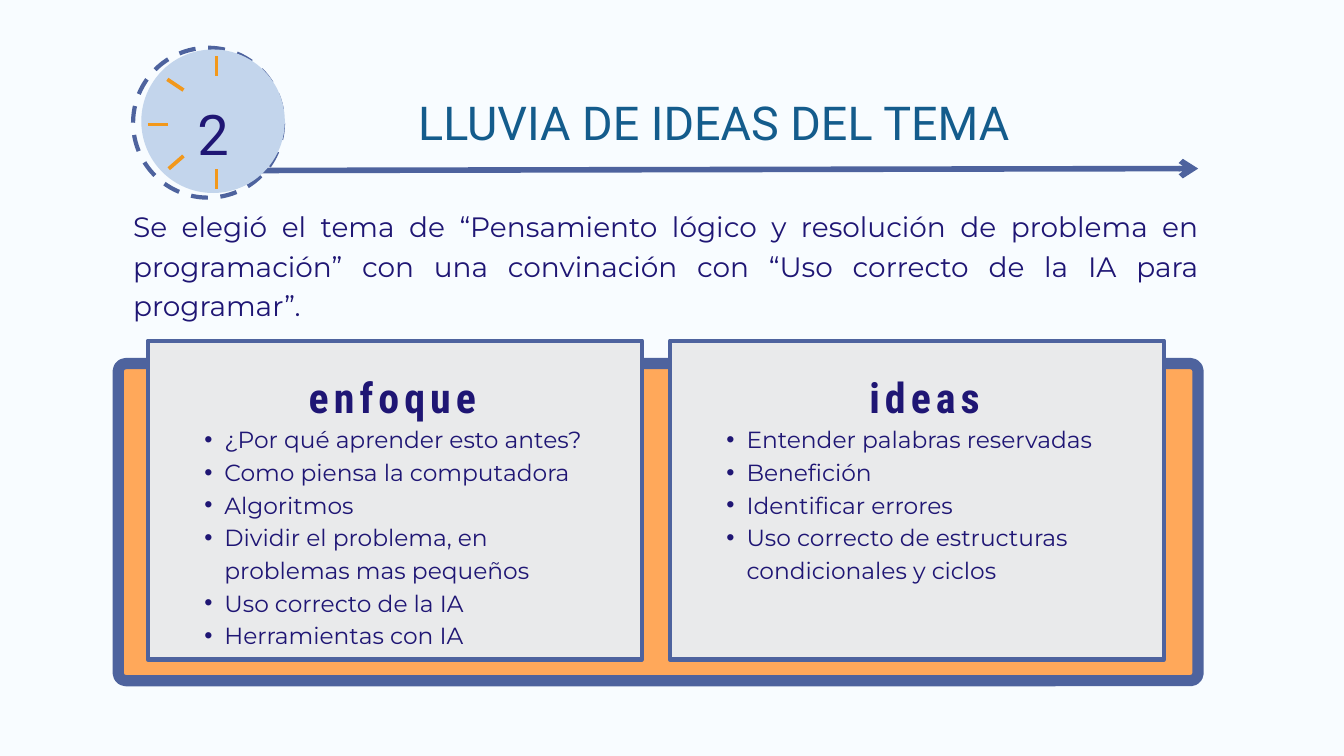
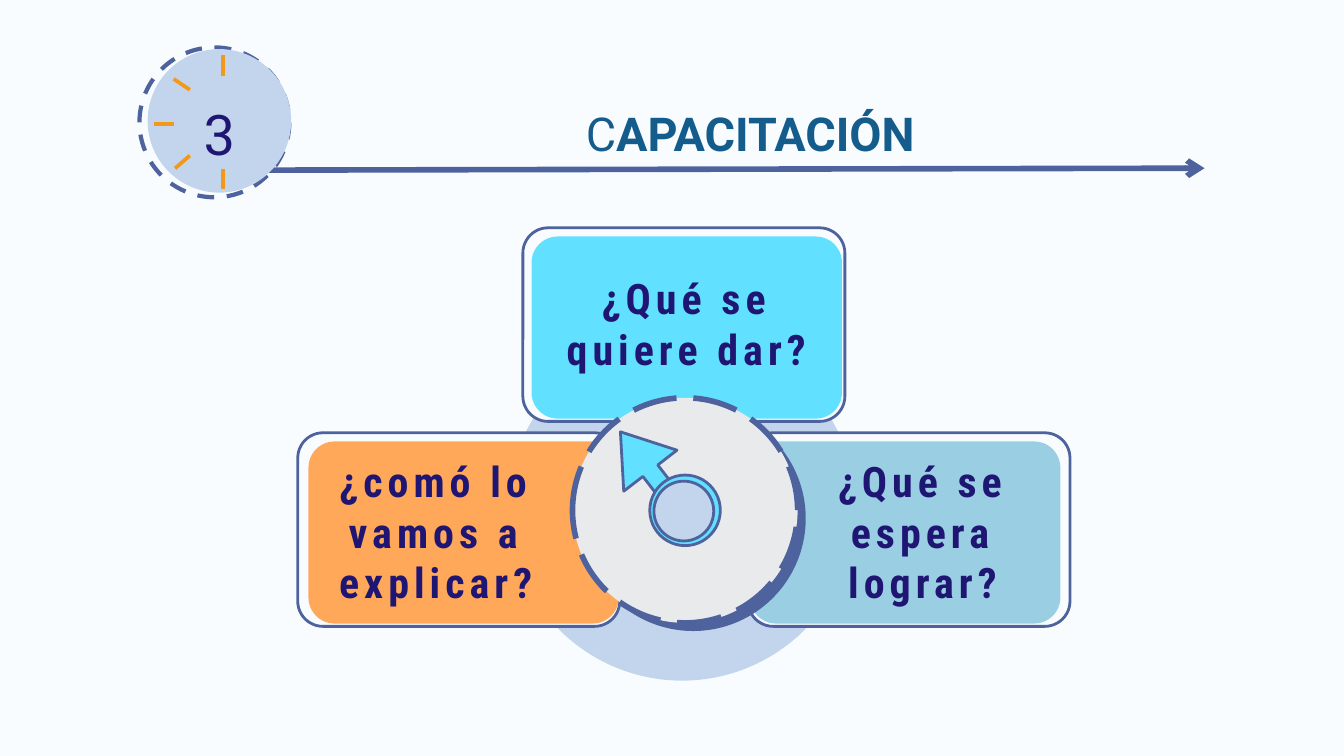
from dataclasses import dataclass

from lxml import etree
from pptx import Presentation
from pptx.dml.color import RGBColor
from pptx.enum.dml import MSO_LINE
from pptx.enum.shapes import MSO_CONNECTOR, MSO_SHAPE
from pptx.enum.text import MSO_AUTO_SIZE, PP_ALIGN
from pptx.oxml.ns import qn
from pptx.util import Pt

RECTANGLE, ROUNDED = MSO_SHAPE.RECTANGLE, MSO_SHAPE.ROUNDED_RECTANGLE
OVAL, ARROW = MSO_SHAPE.OVAL, MSO_SHAPE.RIGHT_ARROW
STRAIGHT = MSO_CONNECTOR.STRAIGHT
DASH, LONG_DASH = MSO_LINE.DASH, MSO_LINE.LONG_DASH
FIT_SHAPE = MSO_AUTO_SIZE.SHAPE_TO_FIT_TEXT
LEFT, CENTER, JUSTIFY = PP_ALIGN.LEFT, PP_ALIGN.CENTER, PP_ALIGN.JUSTIFY

# Content: titles are (text, bold) pieces
IDEAS = {
    "number": "2",
    "title": [("LLUVIA DE IDEAS DEL TEMA", False)],
    "intro": "Se elegió el tema de “Pensamiento lógico y resolución de problema en "
             "programación” con una convinación con “Uso correcto de la IA para programar”.",
    "cards": [
        ("enfoque", ["¿Por qué aprender esto antes?", "Como piensa la computadora",
                     "Algoritmos", "Dividir el problema, en problemas mas pequeños",
                     "Uso correcto de la IA", "Herramientas con IA"]),
        ("ideas", ["Entender palabras reservadas", "Benefición", "Identificar errores",
                   "Uso correcto de estructuras condicionales y ciclos"]),
    ],
}
TRAINING = {
    "number": "3",
    "title": [("C", False), ("APACITACIÓN", True)],
    "give": "¿Qué se quiere dar?",
    "explain": "¿comó lo vamos a explicar?",
    "achieve": "¿Qué se espera lograr?",
}


@dataclass(frozen=True)
class TextStyle:
    font: str
    size: float
    leading: float
    color: str
    bold: bool = False
    spacing: float = 0
    align: PP_ALIGN = CENTER


class Theme:
    paper = "F8FCFF"
    outline = "4E639E"
    ink = "1F1674"
    pale = "C3D5EC"
    tick = "F2981B"
    orange = "FFA85A"
    gray = "E9EAEB"
    cyan = "61E1FF"
    sky = "9ACEE2"
    number = TextStyle("Roboto", 60, 84, ink)
    title = TextStyle("Roboto", 50, 60, "145C8C")
    heading = TextStyle("Roboto Condensed", 45, 54, ink, True, 5.4)
    intro = TextStyle("Montserrat", 30, 42, ink, align=JUSTIFY)
    items = TextStyle("Montserrat", 25, 35, ink, align=LEFT)


# Badge parts, measured from the corner of the dashed ring
RING_SIZE = 160.6
TICKS = [(89.3, 30.2, 89.3, 8.6), (89.3, 151.2, 89.3, 130.3), (15.8, 82.1, 37.4, 82.1),
         (36.7, 33.8, 54, 45.4), (38.2, 129.6, 54, 115.9)]


def points(*values):
    return [Pt(value) for value in values]


def add_outline(line, color, width, dash=None):
    line.color.rgb = RGBColor.from_string(color)
    line.width = Pt(width)
    if dash:
        line.dash_style = dash


def add_form(slide, kind, box, fill=None, width=0, dash=None, radius=None):
    form = slide.shapes.add_shape(kind, *points(*box))
    form.shadow.inherit = False
    if fill:
        form.fill.solid()
        form.fill.fore_color.rgb = RGBColor.from_string(fill)
    else:
        form.fill.background()
    if width:
        add_outline(form.line, Theme.outline, width, dash)
    else:
        form.line.fill.background()
    if radius:
        form.adjustments[0] = radius / min(box[2:])
    return form


def add_circle(slide, left, top, size, *look):
    return add_form(slide, OVAL, (left, top, size, size), *look)


def add_line(slide, ends, color, width, arrow=False):
    connector = slide.shapes.add_connector(STRAIGHT, *points(*ends))
    add_outline(connector.line, color, width)
    properties = connector._element.spPr
    if arrow:
        etree.SubElement(properties.find(qn("a:ln")), qn("a:tailEnd"), type="arrow")
    etree.SubElement(properties, qn("a:effectLst"))


def add_bullet(paragraph):
    paragraph.level = 1
    properties = paragraph._p.get_or_add_pPr()
    properties.set("marL", str(Pt(42.5)))
    properties.set("indent", str(-Pt(21.6)))
    etree.SubElement(properties, qn("a:buFont"), typeface="Arial")
    etree.SubElement(properties, qn("a:buChar"), char="•")


def add_text(slide, box, paragraphs, style, bulleted=False):
    """Each paragraph is a list of (text, bold) pieces."""
    frame = slide.shapes.add_textbox(*points(*box)).text_frame
    frame.word_wrap = True
    frame.auto_size = FIT_SHAPE
    frame.margin_left = frame.margin_top = frame.margin_right = frame.margin_bottom = 0
    for index, pieces in enumerate(paragraphs):
        paragraph = frame.add_paragraph() if index else frame.paragraphs[0]
        if bulleted:
            add_bullet(paragraph)
        paragraph.alignment = style.align
        paragraph.line_spacing = Pt(style.leading)
        font = paragraph.font
        font.name, font.size, font.bold = style.font, Pt(style.size), style.bold
        font.color.rgb = RGBColor.from_string(style.color)
        if style.spacing:
            defaults = paragraph._p.pPr.find(qn("a:defRPr"))
            defaults.set("spc", str(round(style.spacing * 100)))
        for text, bold in pieces:
            run = paragraph.add_run()
            run.text = text
            if bold:
                run.font.bold = True


def plain(*texts):
    return [[(text, False)] for text in texts]


def start_slide(deck):
    slide = deck.slides.add_slide(deck.slide_layouts[6])
    slide.background.fill.solid()
    slide.background.fill.fore_color.rgb = RGBColor.from_string(Theme.paper)
    return slide


def add_header(slide, content, left, top, title_box):
    add_line(slide, (left + 80, top + 131.6, left + 1141.2, top + 129.4),
             Theme.outline, 6, arrow=True)
    add_circle(slide, left, top, RING_SIZE, None, 4.5, DASH)
    add_circle(slide, left + 8.8, top + 1.8, 153.8, Theme.pale)
    for x1, y1, x2, y2 in TICKS:
        add_line(slide, (left + x1, top + y1, left + x2, top + y2), Theme.tick, 4)
    add_text(slide, (left + 20.9, top + 43.6, 129.6, 78.5),
             plain(content["number"]), Theme.number)
    add_text(slide, title_box, [content["title"]], Theme.title)


def build_ideas(deck):
    slide = start_slide(deck)
    add_form(slide, ROUNDED, (126.7, 389.5, 1157, 339.8), Theme.orange, 12, radius=8)
    add_header(slide, IDEAS, 142.6, 51.2, (301, 100.8, 928.1, 60.5))
    pitch, heading_width = 559.4, 570.2
    for column, (heading, items) in enumerate(IDEAS["cards"]):
        shift = column * pitch
        add_form(slide, RECTANGLE, (158.4 + shift, 365, 529.4, 341.6), Theme.gray, 4.5)
        add_text(slide, (135.4 + column * heading_width, 398.2, heading_width, 56.2),
                 plain(heading), Theme.heading)
        add_text(slide, (198 + shift, 450.7, 450.7, 240.5 if column == 0 else 171.4),
                 plain(*items), Theme.items, bulleted=True)
    add_text(slide, (142.6, 218.9, 1141.9, 121.7), plain(IDEAS["intro"]), Theme.intro)


def build_training(deck):
    slide = start_slide(deck)
    add_header(slide, TRAINING, 149.4, 50.8, (305.3, 112.3, 997.2, 60.5))
    add_circle(slide, 545, 357.8, 371.5, Theme.pale)

    upper, lower = 244.1, 463.7
    for column, top in enumerate((lower, upper, lower)):
        add_form(slide, ROUNDED, (319 + column * 241.2, top, 345, 207.4),
                 Theme.paper, 3, radius=27)

    def add_panel(left, top, color):
        add_form(slide, ROUNDED, (left, top + 9.3, 332.6, 195.1), color, radius=28)

    add_panel(569.5, upper, Theme.cyan)
    add_panel(803.5, lower, Theme.sky)
    add_circle(slide, 622.1, 434.9, 241.2, Theme.outline)
    add_panel(330.5, lower, Theme.orange)

    add_circle(slide, 613.4, 426.2, 241.2, Theme.gray, 6, LONG_DASH)
    pointer = add_form(slide, ARROW, (644.4, 468, 104.4, 72), Theme.cyan, 3)
    pointer.adjustments[0], pointer.adjustments[1] = 0.28, 0.73
    pointer.rotation = 232.4
    add_circle(slide, 696.2, 509, 75.6, Theme.cyan, 3)

    for question, box in (("give", (577.4, 292.3, 316.1, 110.9)),
                          ("explain", (330.5, 488.2, 272.9, 164.9)),
                          ("achieve", (854.6, 488.2, 267.8, 163.4))):
        add_text(slide, box, plain(TRAINING[question]), Theme.heading)
    add_circle(slide, 700.6, 515.5, 64.1, Theme.pale, 3)


def main():
    deck = Presentation()
    deck.slide_width, deck.slide_height = points(1440, 810)
    build_ideas(deck)
    build_training(deck)
    deck.save("out.pptx")


if __name__ == "__main__":
    main()
